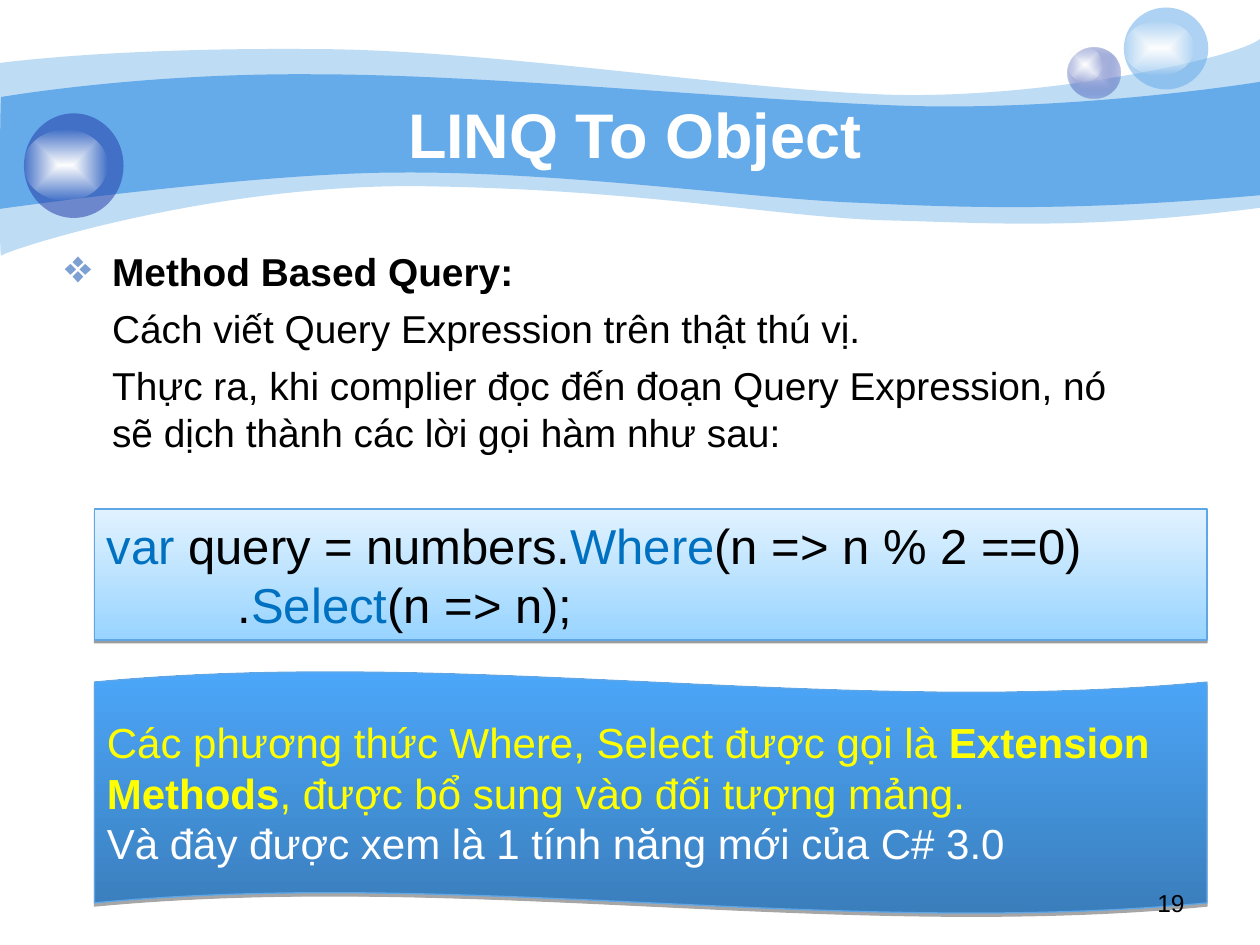
from dataclasses import dataclass

from lxml import etree
from pptx import Presentation
from pptx.dml.color import RGBColor
from pptx.enum.shapes import MSO_SHAPE
from pptx.enum.text import MSO_ANCHOR, PP_ALIGN
from pptx.oxml.ns import qn
from pptx.util import Inches, Pt

RECT, OVAL, WAVE = MSO_SHAPE.RECTANGLE, MSO_SHAPE.OVAL, MSO_SHAPE.WAVE
TOP, MID = MSO_ANCHOR.TOP, MSO_ANCHOR.MIDDLE
LEFT, MIDDLE, RIGHT = PP_ALIGN.LEFT, PP_ALIGN.CENTER, PP_ALIGN.RIGHT


@dataclass(frozen=True)
class Theme:
    font: str = "Arial"
    sky: str = "65AAE9"
    navy: str = "233DA9"
    haze: str = "C7CEE9"
    white: str = "FFFFFF"
    black: str = "000000"
    key: str = "0070C0"
    gold: str = "FFFF00"
    mark: str = "7DA0D3"
    edge: str = "5FA6E7"
    pale: tuple = ("98D4FF", "E1F2FF")
    deep: tuple = ("3A7EBC", "4CA6F9")
    title: float = 36
    body: float = 22.2
    code: float = 28
    note: float = 24
    page: float = 14


T = Theme()

UPPER = [(0, 0.5), (0.24, 0.47), (1.07, 0.38), (2.47, 0.39), (3.86, 0.39),
         (5.75, 0.7), (6.99, 0.75), (8.22, 0.8), (9.8, 0.47), (10, 0.31)]
LOWER = [(10, 1.65), (8.58, 1.83), (7.87, 1.77), (7.05, 1.75), (6.22, 1.73),
         (5.15, 1.51), (3.43, 1.48), (1.72, 1.44), (0.04, 1.99), (0.01, 2.03),
         (-0.01, 2.08), (0, 0.75), (0, 0.5)]
INNER_TOP = [(0.01, 0.77), (0.02, 0.77), (1.1, 0.58), (2.48, 0.59), (3.86, 0.59),
             (5.95, 0.8), (7.18, 0.84), (8.41, 0.88), (9.76, 0.69), (10, 0.65)]
INNER_LOW = [(10, 1.55), (8.53, 1.68), (7.65, 1.65), (6.82, 1.61), (5.99, 1.58),
             (4.47, 1.36), (3.17, 1.37), (2.03, 1.37), (-0.02, 1.66), (-0.01, 1.66),
             (0, 1.66), (0, 0.77), (0.01, 0.77)]


def rgb(color):
    return RGBColor.from_string(color)


def add(parent, tag, **attrs):
    node = etree.SubElement(parent, qn(tag))
    for name, value in attrs.items():
        node.set(name, str(value))
    return node


def fade(shape, alpha):
    color = list(shape._element.spPr.iter(qn("a:srgbClr")))[-1]
    add(color, "a:alpha", val=alpha * 1000)


def plain(shape):
    shape.shadow.inherit = False
    shape.line.fill.background()


def solid(shape, color, alpha=100):
    plain(shape)
    shape.fill.solid()
    shape.fill.fore_color.rgb = rgb(color)
    if alpha < 100:
        fade(shape, alpha)


def blend(shape, colors):
    shape.fill.gradient()
    shape.fill.gradient_angle = 90
    for stop, color in zip(shape.fill.gradient_stops, colors):
        stop.color.rgb = rgb(color)


def glow(shape, colors, alpha):
    plain(shape)
    blend(shape, colors)
    fade(shape, alpha)
    grad = shape._element.spPr.find(qn("a:gradFill"))
    grad.remove(grad.find(qn("a:lin")))
    path = add(grad, "a:path", path="rect")
    add(path, "a:fillToRect", l=50000, t=50000, r=50000, b=50000)


def drop(shape, alpha, dist):
    shape.shadow.inherit = False
    list_node = shape._element.spPr.find(qn("a:effectLst"))
    cast = add(list_node, "a:outerShdw", blurRad=0, dist=Pt(dist),
               dir=5400000, rotWithShape=0)
    add(add(cast, "a:srgbClr", val=T.black), "a:alpha", val=alpha * 1000)


def place(parent, kind, box):
    return parent.shapes.add_shape(kind, *map(Inches, box))


def frame(shape, anchor=TOP):
    text = shape.text_frame
    text.word_wrap = True
    text.vertical_anchor = anchor
    return text


def write(para, parts, size, align=LEFT):
    para.alignment = align
    for words, color, bold in parts:
        if words == "\n":
            para.add_line_break()
            continue
        run = para.add_run()
        run.text = words
        run.font.name = T.font
        run.font.size = Pt(size)
        run.font.bold = bold
        run.font.color.rgb = rgb(color)


def fill_text(text, lines, size, align=LEFT):
    for i, parts in enumerate(lines):
        para = text.add_paragraph() if i else text.paragraphs[0]
        write(para, parts, size, align)


def bend(lines):
    for i in range(0, len(lines), 3):
        arc = etree.Element(qn("a:cubicBezTo"))
        lines[i].addprevious(arc)
        for line in lines[i:i + 3]:
            arc.append(line[0])
            line.getparent().remove(line)


def ribbon(slide, box, top, low, alpha=100):
    left, up = box[:2]
    dots = [(Inches(left + x), Inches(up + y)) for x, y in top + low]
    pen = slide.shapes.build_freeform(*dots[0])
    pen.add_line_segments(dots[1:])
    shape = pen.convert_to_shape()
    lines = list(shape._element.spPr.iter(qn("a:lnTo")))
    side = len(top) - 1
    bend(lines[:side])
    bend(lines[side + 1:side + len(low)])
    solid(shape, T.sky, alpha)


def shine(group, box, part):
    x, y, w, h = box
    dx, dy, dw, dh = part
    spot = place(group, OVAL, (x + w * dx, y + h * dy, w * dw, h * dh))
    glow(spot, (T.white, T.white), 0)


def orb(slide, box, color):
    group = slide.shapes.add_group_shape()
    solid(place(group, OVAL, box), color, 53)
    shine(group, box, (0, 0.16, 0.84, 0.67))


def pearl(slide, box):
    group = slide.shapes.add_group_shape()
    glow(place(group, OVAL, box), (T.haze, T.navy), 31)
    shine(group, box, (0, 0, 0.67, 0.67))


def banner(slide, box):
    x, y = box[:2]
    ribbon(slide, box, UPPER, LOWER, 41)
    ribbon(slide, box, INNER_TOP, INNER_LOW)
    pearl(slide, (x + 8.47, y + 0.38, 0.42, 0.4))
    orb(slide, (x + 8.92, y + 0.06, 0.67, 0.65), T.sky)
    orb(slide, (x + 0.19, y + 0.9, 0.79, 0.83), T.navy)


def label(slide, box, words, color, size, align, bold=False, anchor=TOP):
    text = frame(slide.shapes.add_textbox(*map(Inches, box)), anchor)
    fill_text(text, [[(words, color, bold)]], size, align)


def body(slide, box):
    text = frame(slide.shapes.add_textbox(*map(Inches, box)))
    lines = ["Method Based Query:",
             "Cách viết Query Expression trên thật thú vị.",
             "Thực ra, khi complier đọc đến đoạn Query Expression, nó "
             "sẽ dịch thành các lời gọi hàm như sau:"]
    fill_text(text, [[(line, T.black, i == 0)] for i, line in enumerate(lines)], T.body)
    hang = Inches(3 / 8)
    for i, para in enumerate(text.paragraphs):
        para.space_before = Pt(6 if i else 0)
        props = para._p.get_or_add_pPr()
        props.set("marL", str(hang))
        props.set("indent", str(0 if i else -hang))
        if not i:
            add(add(props, "a:buClr"), "a:srgbClr", val=T.mark)
            add(props, "a:buSzPct", val=120000)
            add(props, "a:buChar", char="❖")


def panel(slide, kind, box, colors, alpha, dist):
    shape = place(slide, kind, box)
    blend(shape, colors)
    shape.line.color.rgb = rgb(T.edge)
    shape.line.width = Pt(0.75)
    drop(shape, alpha, dist)
    return shape


def code(slide, box):
    shape = panel(slide, RECT, box, T.pale, 38, 1.6)
    fill_text(frame(shape), [
        [("var", T.key, False), (" query = numbers.", T.black, False),
         ("Where", T.key, False), ("(n => n % 2 ==0)", T.black, False),
         ("\n", T.black, False), ("\t     .", T.black, False),
         ("Select", T.key, False), ("(n => n);", T.black, False)]], T.code)


def note(slide, box):
    shape = panel(slide, WAVE, box, T.deep, 35, 1.8)
    shape.adjustments[0] = 0.084 / box[3]
    fill_text(frame(shape, MID), [
        [("Các phương thức Where, Select được gọi là ", T.gold, False),
         ("Extension Methods", T.gold, True),
         (", được bổ sung vào đối tượng mảng.", T.gold, False)],
        [("Và đây được xem là 1 tính năng mới của C# 3.0", T.white, False)]], T.note)


def main():
    deck = Presentation()
    deck.slide_width, deck.slide_height = Inches(10), Inches(7.5)
    slide = deck.slides.add_slide(deck.slide_layouts[6])
    banner(slide, (0, 0, 10, 2.1))
    label(slide, (1, 0.75, 8.08, 0.62), "LINQ To Object", T.white, T.title,
          MIDDLE, True, MID)
    body(slide, (5 / 12, 23 / 12, 8.83, 4.5))
    code(slide, (0.75, 4.04, 8.83, 1.04))
    note(slide, (0.75, 5.33, 8.83, 1.92))
    label(slide, (7.17, 7, 2.33, 0.35), "19", T.black, T.page, RIGHT)
    deck.save("out.pptx")


if __name__ == "__main__":
    main()
